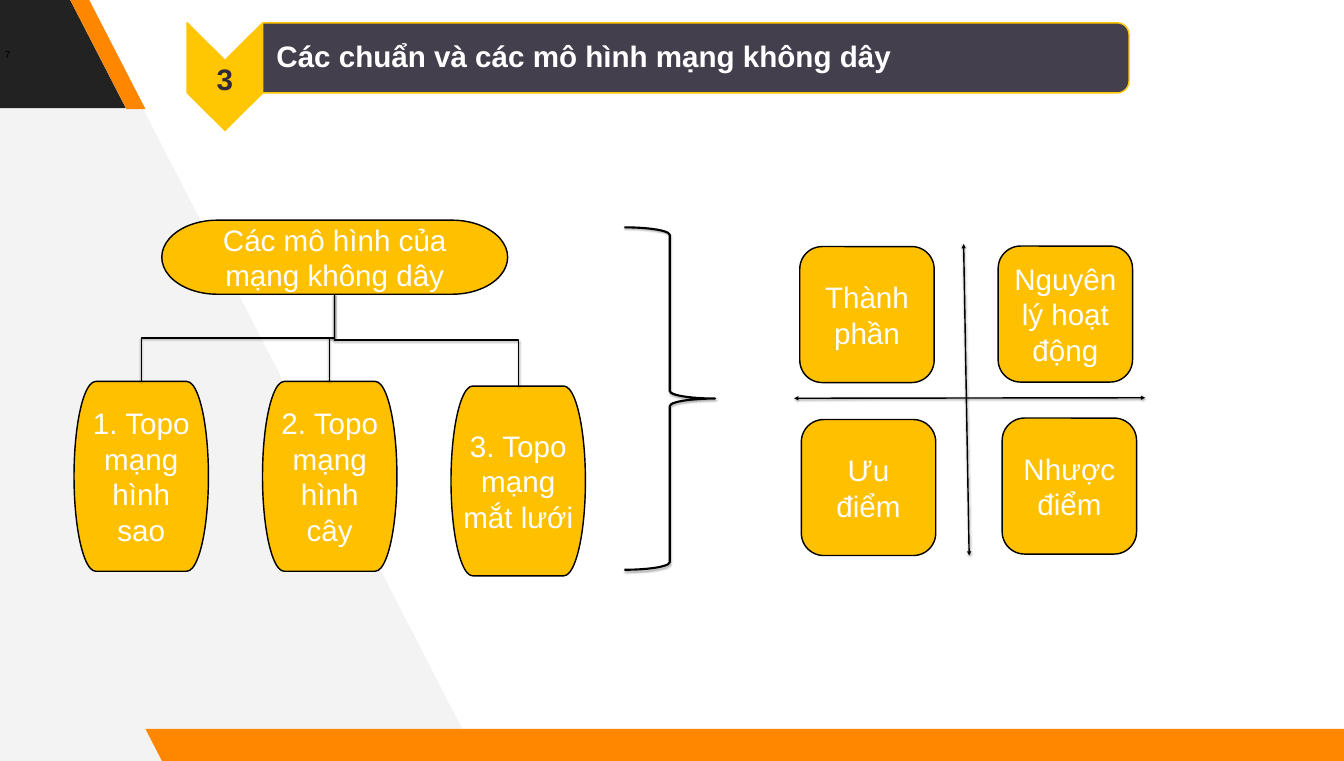
from dataclasses import dataclass

from lxml import etree
from pptx import Presentation
from pptx.dml.color import RGBColor
from pptx.enum.shapes import MSO_CONNECTOR, MSO_SHAPE
from pptx.enum.text import MSO_ANCHOR, MSO_AUTO_SIZE, PP_ALIGN
from pptx.oxml.ns import qn
from pptx.util import Pt

PARALLELOGRAM = MSO_SHAPE.PARALLELOGRAM
TERMINATOR = MSO_SHAPE.FLOWCHART_TERMINATOR
ROUNDED = MSO_SHAPE.ROUNDED_RECTANGLE
BANNER_SHAPE = MSO_SHAPE.ROUND_2_SAME_RECTANGLE
BRACE = MSO_SHAPE.RIGHT_BRACE
STRAIGHT, ELBOW = MSO_CONNECTOR.STRAIGHT, MSO_CONNECTOR.ELBOW
MIDDLE, CENTER, LEFT = MSO_ANCHOR.MIDDLE, PP_ALIGN.CENTER, PP_ALIGN.LEFT
NO_FIT = MSO_AUTO_SIZE.NONE

BLACK, WHITE, CHARCOAL, PLUM = "000000", "FFFFFF", "222222", "302B3A"
ORANGE, AMBER, GOLD, PALE = "FF8700", "FFC000", "FFC601", "F3F3F3"
DEFAULT_INSETS = (7.2, 3.6, 7.2, 3.6)


@dataclass(frozen=True)
class Area:
    left: float
    top: float
    width: float
    height: float

    @property
    def center(self) -> float:
        return self.left + self.width / 2

    @property
    def bottom(self) -> float:
        return self.top + self.height

    def lengths(self) -> list:
        return [Pt(v) for v in (self.left, self.top, self.width, self.height)]


@dataclass(frozen=True)
class Node:
    text: str
    kind: int
    area: Area


@dataclass(frozen=True)
class Slant:
    area: Area
    adjustment: float
    fill: str


@dataclass(frozen=True)
class Axis:
    start: tuple
    end: tuple


SLANTS = [
    Slant(Area(-188.6, -3.6, 367.2, 157), 0.515, CHARCOAL),
    Slant(Area(98.6, -2.2, 108, 157), 0.75, ORANGE),
    Slant(Area(206.6, 1034.6, 1746.7, 47.5), 0.515, ORANGE),
]
BACKDROP = [(679.7, 1080), (119.5, -8), (-11.5, -7), (-4.3, 1087)]
CHEVRON = [(373, 32.4), (373, 131.8), (319.4, 185), (265.7, 131.8),
           (265.7, 32.4), (319.4, 85.7)]
BANNER = Area(373, 32.4, 1229.8, 99.4)
ROOT = Node("Các mô hình của mạng không dây", TERMINATOR,
            Area(229.7, 312.5, 491, 105.1))
TOPOLOGIES = [
    Node(text, TERMINATOR, Area(105.1 + 267.6 * index, top, 190.8, 269.3))
    for index, (text, top) in enumerate([
        ("1. Topo mạng hình sao", 541.4),
        ("2. Topo mạng hình cây", 541.4),
        ("3. Topo mạng mắt lưới", 547.9),
    ])
]
ASPECTS = [
    Node(text, ROUNDED, Area(left, top, 190.8, 193))
    for text, left, top in [
        ("Thành phần", 1135.4, 349.9),
        ("Ưu điểm", 1137.6, 595.4),
        ("Nhược điểm", 1422.7, 593.3),
        ("Nguyên lý hoạt động", 1417, 349.2),
    ]
]
AXES = [Axis((1127.5, 565.2), (1625.8, 564.5)),
        Axis((1368, 346.3), (1375.9, 788.4))]


def color(value: str) -> RGBColor:
    return RGBColor.from_string(value)


def apply(target, values: dict) -> None:
    for name, value in values.items():
        setattr(target, name, value)


def paint(shape, fill: str | None, line: str | None = None, width: float = 2) -> None:
    shape.shadow.inherit = False
    if fill:
        shape.fill.solid()
        shape.fill.fore_color.rgb = color(fill)
    else:
        shape.fill.background()
    if line:
        shape.line.color.rgb = color(line)
        shape.line.width = Pt(width)
    else:
        shape.line.fill.background()


def write(shape, text: str, ink: str, size: float = 42, bold: bool = False,
          align=CENTER, insets: tuple = DEFAULT_INSETS, spacing: float = 1) -> None:
    frame = shape.text_frame
    left, top, right, bottom = (Pt(inset) for inset in insets)
    apply(frame, {"word_wrap": True, "auto_size": NO_FIT, "vertical_anchor": MIDDLE,
                  "margin_left": left, "margin_top": top,
                  "margin_right": right, "margin_bottom": bottom})
    para = frame.paragraphs[0]
    apply(para, {"alignment": align, "line_spacing": spacing, "space_before": Pt(0)})
    span = para.add_run()
    span.text = text
    apply(span.font, {"name": "Arial", "size": Pt(size), "bold": bold})
    span.font.color.rgb = color(ink)


def cast_shadow(shape, opacity: int, distance: float) -> None:
    properties = shape.element.spPr
    effects = properties.find(qn("a:effectLst"))
    if effects is None:
        effects = etree.SubElement(properties, qn("a:effectLst"))
    shadow = etree.SubElement(effects, qn("a:outerShdw"), blurRad=str(Pt(3.1)),
                              dist=str(Pt(distance)), dir="5400000", rotWithShape="0")
    tint = etree.SubElement(shadow, qn("a:srgbClr"), val=BLACK)
    etree.SubElement(tint, qn("a:alpha"), val=str(opacity * 1000))


def add_outline(page, points: list, fill: str, line: str | None = None):
    builder = page.shapes.build_freeform(*(Pt(v) for v in points[0]), scale=1.0)
    builder.add_line_segments([(Pt(x), Pt(y)) for x, y in points[1:]], close=True)
    shape = builder.convert_to_shape()
    paint(shape, fill, line)
    return shape


def add_slant(page, slant: Slant) -> None:
    shape = page.shapes.add_shape(PARALLELOGRAM, *slant.area.lengths())
    shape.adjustments[0] = slant.adjustment
    shape.element.spPr.find(qn("a:xfrm")).set("flipH", "1")
    paint(shape, slant.fill)


def add_node(page, node: Node) -> None:
    shape = page.shapes.add_shape(node.kind, *node.area.lengths())
    paint(shape, AMBER, BLACK)
    write(shape, node.text, WHITE)


def add_line(page, kind, start: tuple, end: tuple):
    line = page.shapes.add_connector(kind, *(Pt(v) for v in (*start, *end)))
    line.line.color.rgb = color(BLACK)
    line.line.width = Pt(2)
    cast_shadow(line, 38, 1.6)
    return line


def add_branch(page, parent: Area, child: Area) -> None:
    rise, run = child.top - parent.bottom, child.center - parent.center
    middle_x = (child.center + parent.center) / 2
    middle_y = (child.top + parent.bottom) / 2
    side = 1 if run > 0 else -1
    start = (middle_x + side * rise / 2, middle_y - abs(run) / 2)
    end = (middle_x - side * rise / 2, middle_y + abs(run) / 2)
    branch = add_line(page, ELBOW, start, end)
    angle = 270 if run > 0 else 90
    branch.element.spPr.find(qn("a:xfrm")).set("rot", str(angle * 60000))


def add_axis(page, axis: Axis) -> None:
    line = add_line(page, STRAIGHT, axis.start, axis.end)
    stroke = line.element.spPr.find(qn("a:ln"))
    for name in ("a:headEnd", "a:tailEnd"):
        etree.SubElement(stroke, qn(name), type="triangle")


def add_heading(page) -> None:
    chevron = add_outline(page, CHEVRON, GOLD, GOLD)
    write(chevron, "3", PLUM, bold=True, insets=(1.4, 50.4, 1.4, 37.4), spacing=0.9)
    upright = Area(BANNER.center - BANNER.height / 2,
                   BANNER.top + (BANNER.height - BANNER.width) / 2,
                   BANNER.height, BANNER.width)
    banner = page.shapes.add_shape(BANNER_SHAPE, *upright.lengths())
    banner.rotation = 90
    paint(banner, PLUM, GOLD)
    tint = banner.element.spPr.find(qn("a:solidFill"))[0]
    etree.SubElement(tint, qn("a:alpha"), val="90000")
    title = page.shapes.title
    apply(title, dict(zip(("left", "top", "width", "height"), BANNER.lengths())))
    write(title, "Các chuẩn và các mô hình mạng không dây", WHITE, bold=True,
          align=LEFT, insets=(19.4, 5, 5, 5), spacing=0.9)
    banner.element.addnext(title.element)


def main() -> None:
    deck = Presentation()
    apply(deck, {"slide_width": Pt(1908), "slide_height": Pt(1080)})
    page = deck.slides.add_slide(deck.slide_layouts[5])
    add_outline(page, BACKDROP, PALE)
    for slant in SLANTS:
        add_slant(page, slant)
    number = page.shapes.add_textbox(*Area(0, 60, 72, 36).lengths())
    write(number, "7", BLACK, size=14, align=LEFT)
    add_heading(page)
    for node in [ROOT, *TOPOLOGIES]:
        add_node(page, node)
    for node in reversed(TOPOLOGIES):
        add_branch(page, ROOT.area, node.area)
    brace = page.shapes.add_shape(BRACE, *Area(886.3, 322.6, 128.9, 486).lengths())
    paint(brace, None, BLACK, 3)
    cast_shadow(brace, 35, 1.8)
    for node in ASPECTS:
        add_node(page, node)
    for axis in AXES:
        add_axis(page, axis)
    deck.save("out.pptx")


if __name__ == "__main__":
    main()
